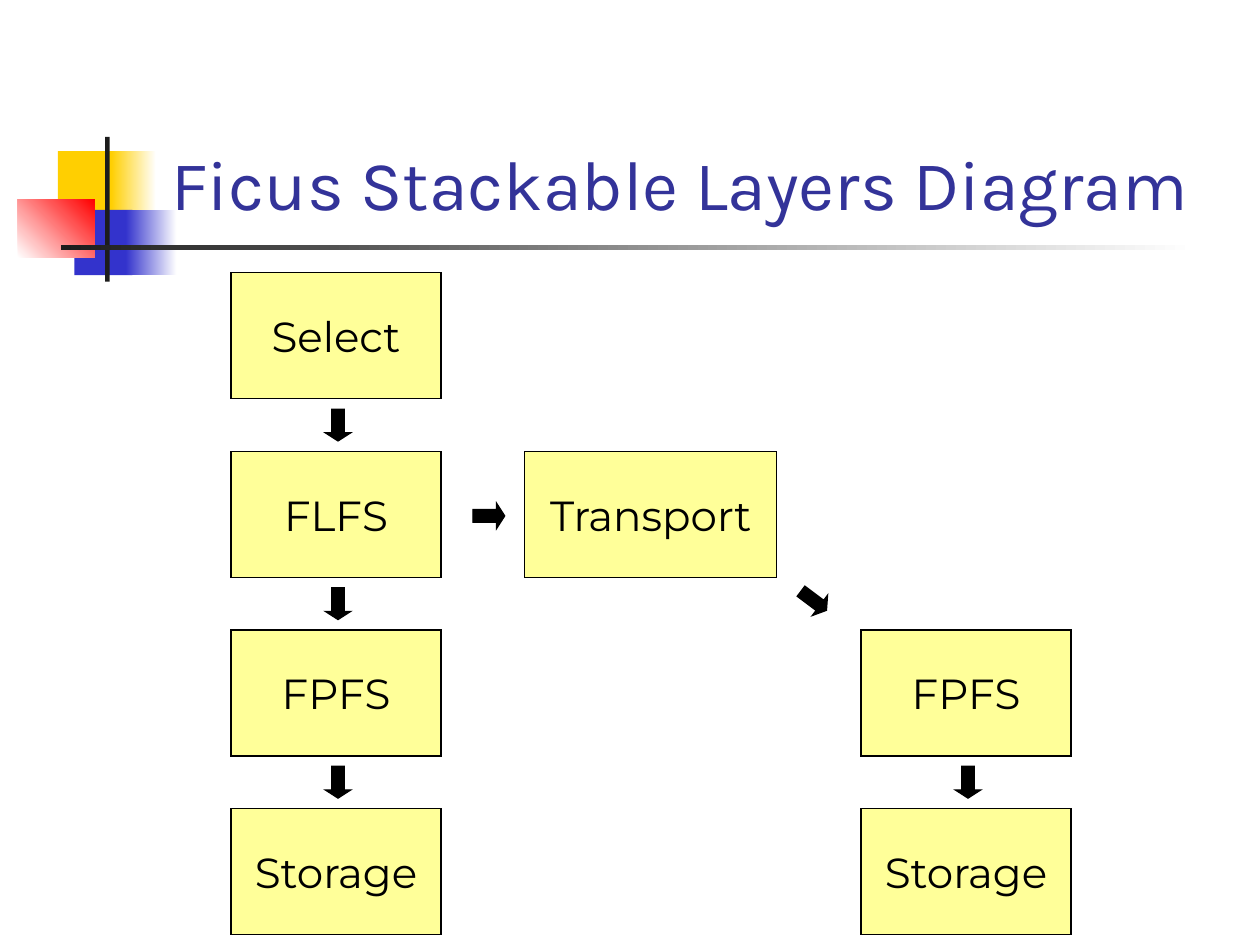
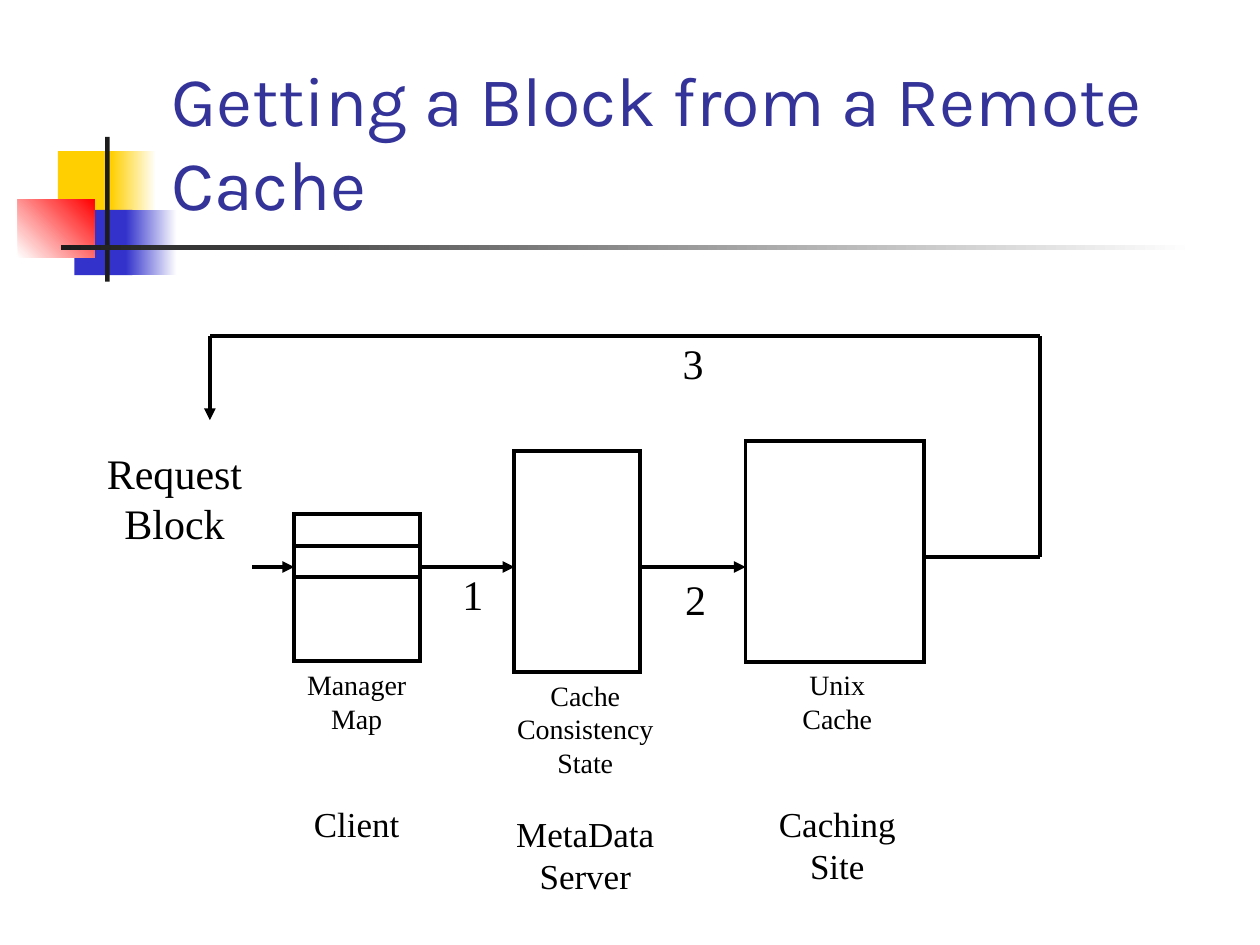
from dataclasses import dataclass
from itertools import pairwise

from lxml import etree
from pptx import Presentation
from pptx import util as u
from pptx.dml.color import RGBColor
from pptx.enum import shapes, text
from pptx.oxml.ns import qn

BLACK = RGBColor(0x00, 0x00, 0x00)
WHITE = RGBColor(0xFF, 0xFF, 0xFF)
GOLD = RGBColor(0xFF, 0xCF, 0x01)
BLUE = RGBColor(0x33, 0x33, 0xCC)
RED = RGBColor(0xFF, 0x00, 0x00)
COAL = RGBColor(0x1C, 0x1C, 0x1C)
NAVY = RGBColor(0x33, 0x33, 0x99)
CREAM = RGBColor(0xFF, 0xFF, 0x99)

HEAD_FONT = "Karla"
TILE_FONT = "Montserrat"
NOTE_FONT = "Times New Roman"

KIND = shapes.MSO_SHAPE
ALIGN = text.PP_ALIGN

ROW_TOP, ROW_STEP = 5.5, 3.6
TILE_WIDE, TILE_HIGH = 4.23, 2.54
LEFT_COL, MID_COL, RIGHT_COL = 4.66, 10.58, 17.36
DROP_IN, DROP_DOWN = 1.9, 2.75


@dataclass(frozen=True)
class Place:
    x: float
    y: float
    w: float
    h: float

    def sides(self) -> tuple:
        return u.Cm(self.x), u.Cm(self.y), u.Cm(self.w), u.Cm(self.h)


@dataclass(frozen=True)
class Band:
    place: Place
    start: RGBColor
    end: RGBColor | None = None
    angle: float = 0


@dataclass(frozen=True)
class Tile:
    label: str
    x: float
    row: int
    wide: float = TILE_WIDE


@dataclass(frozen=True)
class Arrow:
    x: float
    y: float
    turn: float = 0


@dataclass(frozen=True)
class Note:
    place: Place
    label: str
    size: int = 24
    foot: str = ""
    gap: float = 0
    align: ALIGN = ALIGN.CENTER


@dataclass(frozen=True)
class Link:
    start: tuple[float, float]
    end: tuple[float, float]
    tip: bool = False


BANDS = [
    Band(Place(1.17, 3.05, 1.22, 1.32), GOLD),
    Band(Place(2.24, 3.05, 0.91, 1.32), GOLD, WHITE),
    Band(Place(1.5, 4.23, 1.17, 1.32), BLUE),
    Band(Place(2.54, 4.23, 1.02, 1.32), BLUE, WHITE),
    Band(Place(0.36, 4.02, 1.55, 1.17), WHITE, RED, 45),
    Band(Place(2.12, 2.76, 0.09, 2.92), COAL),
    Band(Place(1.23, 4.94, 22.86, 0.1), COAL, WHITE),
]

TILES = [
    *(Tile(label, LEFT_COL, row)
      for row, label in enumerate(["Select", "FLFS", "FPFS", "Storage"])),
    Tile("Transport", MID_COL, 1, 5.08),
    *(Tile(label, RIGHT_COL, row)
      for row, label in enumerate(["FPFS", "Storage"], 2)),
]

DROPS = [(LEFT_COL, 0), (LEFT_COL, 1), (LEFT_COL, 2), (RIGHT_COL, 2)]
ARROWS = [
    *(Arrow(x + DROP_IN, ROW_TOP + row * ROW_STEP + DROP_DOWN)
      for x, row in DROPS),
    Arrow(9.6, 10.08, 270),
    Arrow(16.15, 11.79, 307),
]

MAP = Place(5.93, 10.37, 2.54, 2.96)
STATE = Place(10.37, 9.1, 2.54, 4.45)
CACHE = Place(15.03, 8.89, 3.6, 4.45)
FLOW = 11.43
BACK = [(CACHE.x + CACHE.w, 11.22), (20.96, 11.22), (20.96, 6.77),
        (4.23, 6.77), (4.23, 8.47)]

LINKS = [
    Link((5.08, FLOW), (MAP.x, FLOW), True),
    *(Link((a.x + a.w, FLOW), (b.x, FLOW), True)
      for a, b in pairwise([MAP, STATE, CACHE])),
    *(Link(a, b, b == BACK[-1]) for a, b in pairwise(BACK)),
    *(Link((MAP.x, y), (MAP.x + MAP.w, y)) for y in (11.01, 11.64)),
]

NOTES = [
    Note(Place(5.79, 13.34, 2.8, 3.81), "Manager\nMap", 16, "Client", 38.4),
    Note(Place(9.8, 13.55, 4, 4.67), "Cache\nConsistency\nState", 16,
         "MetaData\nServer", 19.2),
    Note(Place(15.18, 13.34, 3.4, 4.67), "Unix\nCache", 16,
         "Caching\nSite", 38.4),
    Note(Place(1.72, 8.89, 3.6, 2.29), "Request\nBlock"),
    *(Note(Place(x, y, 0.91, 1.27), label, align=ALIGN.LEFT)
      for label, x, y in [("1", 9.07, 11.33), ("2", 13.56, 11.43),
                          ("3", 13.51, 6.68)]),
]


def style(part, name: str, size: float, hue: RGBColor) -> None:
    for run in part.runs:
        run.font.name = name
        run.font.size = u.Pt(size)
        run.font.color.rgb = hue


def block(slide, kind: KIND, place: Place, fill: RGBColor,
          line: float = 0):
    shape = slide.shapes.add_shape(kind, *place.sides())
    shape.shadow.inherit = False
    shape.fill.solid()
    shape.fill.fore_color.rgb = fill
    if line:
        shape.line.color.rgb = BLACK
        shape.line.width = u.Pt(line)
        etree.SubElement(shape.get_or_add_ln(), qn("a:miter"), lim="800000")
    else:
        shape.line.fill.background()
    return shape


def draw_bands(slide) -> None:
    tree = slide.slide_layout.shapes.element
    for spot, band in enumerate(BANDS, 2):
        shape = block(slide, KIND.RECTANGLE, band.place, band.start)
        if band.end is not None:
            shape.fill.gradient()
            shape.fill.gradient_angle = band.angle
            for stop, hue in zip(shape.fill.gradient_stops,
                                 (band.start, band.end)):
                stop.color.rgb = hue
        tree.insert(spot, shape.element)


def add_page(deck, layout, label: str):
    slide = deck.slides.add_slide(layout)
    title = slide.shapes.title
    title.left, title.top, title.width, title.height = Place(
        3.2, 0.6, 21.64, 4.06).sides()
    frame = title.text_frame
    frame.text = label
    frame.word_wrap = True
    frame.auto_size = text.MSO_AUTO_SIZE.NONE
    frame.vertical_anchor = text.MSO_ANCHOR.BOTTOM
    part = frame.paragraphs[0]
    part.alignment = ALIGN.LEFT
    style(part, HEAD_FONT, 40, NAVY)
    return slide


def draw_tile(slide, tile: Tile) -> None:
    place = Place(tile.x, ROW_TOP + tile.row * ROW_STEP, tile.wide, TILE_HIGH)
    shape = block(slide, KIND.RECTANGLE, place, CREAM, 0.75)
    frame = shape.text_frame
    frame.text = tile.label
    frame.word_wrap = False
    frame.vertical_anchor = text.MSO_ANCHOR.MIDDLE
    part = frame.paragraphs[0]
    part.alignment = ALIGN.CENTER
    style(part, TILE_FONT, 24, BLACK)


def draw_arrow(slide, arrow: Arrow) -> None:
    place = Place(arrow.x, arrow.y, 0.51, 0.64)
    shape = block(slide, KIND.DOWN_ARROW, place, BLACK, 0.75)
    shape.adjustments[1] = 0.32
    shape.rotation = arrow.turn


def draw_link(slide, link: Link) -> None:
    ends = [u.Cm(side) for side in (*link.start, *link.end)]
    line = slide.shapes.add_connector(shapes.MSO_CONNECTOR.STRAIGHT, *ends)
    line.line.color.rgb = BLACK
    line.line.width = u.Pt(2.25)
    if link.tip:
        etree.SubElement(line.get_or_add_ln(), qn("a:tailEnd"),
                         type="triangle")
    etree.SubElement(line.element.spPr, qn("a:effectLst"))


def draw_note(slide, note: Note) -> None:
    frame = slide.shapes.add_textbox(*note.place.sides()).text_frame
    frame.word_wrap = False
    frame.auto_size = text.MSO_AUTO_SIZE.SHAPE_TO_FIT_TEXT
    frame.text = f"{note.label}\n{note.foot}" if note.foot else note.label
    count = len(note.label.split("\n"))
    for spot, part in enumerate(frame.paragraphs):
        part.alignment = note.align
        style(part, NOTE_FONT, note.size if spot < count else 20, BLACK)
        if spot == count:
            part.space_before = u.Pt(note.gap)


def main() -> None:
    deck = Presentation()
    deck.slide_width, deck.slide_height = u.Cm(25.4), u.Cm(19.05)
    layout = deck.slide_layouts[5]

    layers = add_page(deck, layout, "Ficus Stackable Layers Diagram")
    draw_bands(layers)
    for tile in TILES:
        draw_tile(layers, tile)
    for arrow in ARROWS:
        draw_arrow(layers, arrow)

    remote = add_page(deck, layout, "Getting a Block from a Remote Cache")
    for place in (MAP, STATE, CACHE):
        block(remote, KIND.RECTANGLE, place, WHITE, 2.25)
    for link in LINKS:
        draw_link(remote, link)
    for note in NOTES:
        draw_note(remote, note)

    deck.save("out.pptx")


if __name__ == "__main__":
    main()
